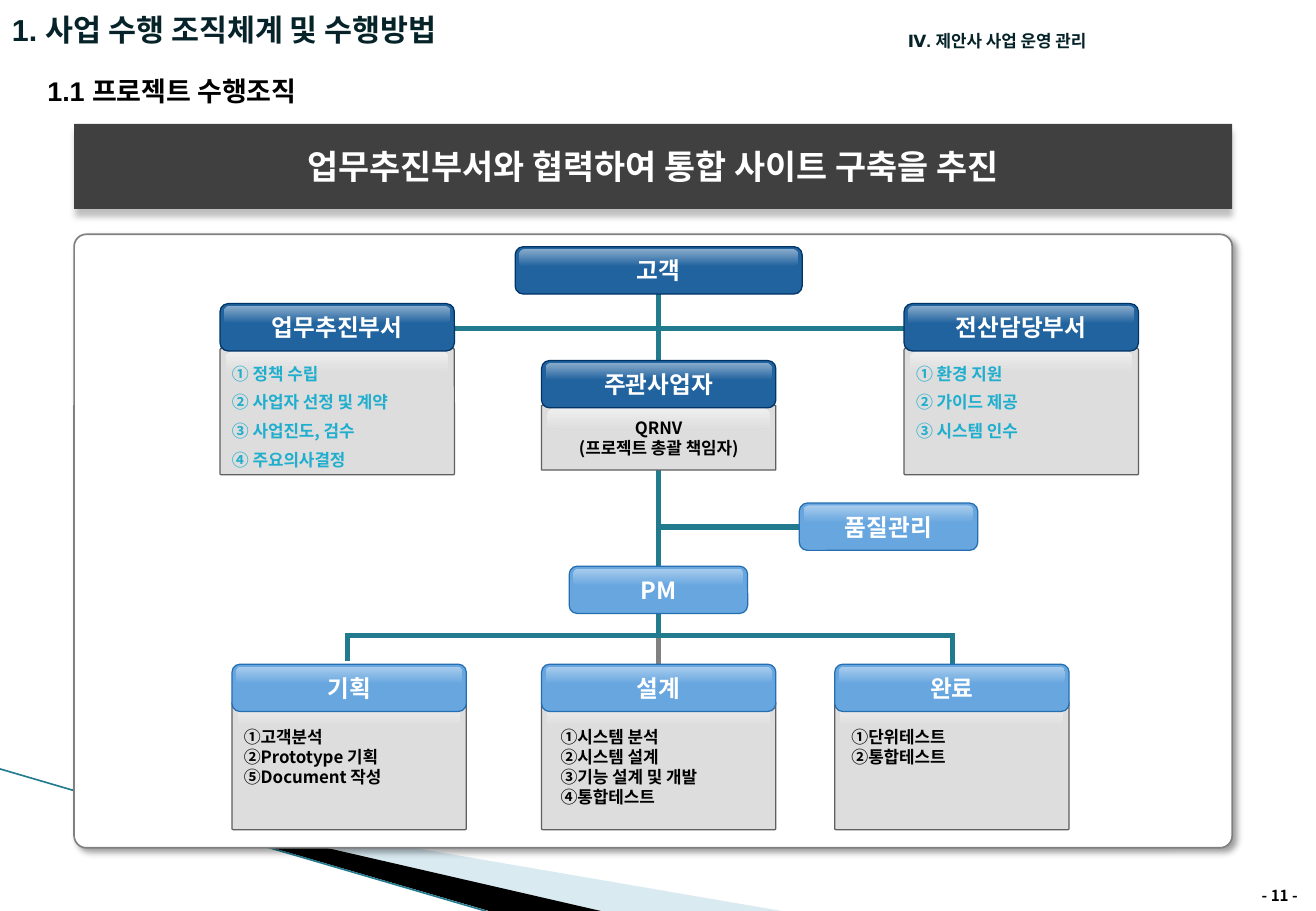
from lxml import etree
from pptx import Presentation
from pptx import util as u
from pptx.dml.color import RGBColor
from pptx.enum import shapes, text
from pptx.oxml.ns import qn

COLORS = {
    "ink": "062329", "black": "000000", "white": "FFFFFF", "banner": "404040",
    "banner_shadow": "BFBFBF", "frame": "808080", "teal": "227A8F", "cyan": "1FAECD",
    "wave": "A0CBDC", "client": "21639F", "client_edge": "003366", "client_gloss": "88ABCB",
    "team": "67A6DF", "team_edge": "256EB1", "team_gloss": "A8CCED",
    "body": "DDDDDD", "body_edge": "5F5F5F", "body_gloss": "EEEEEE",
}
KOREAN = "Noto Sans CJK KR"
HEADER_HEIGHT = 0.99
LEFT, CENTER, RIGHT = text.PP_ALIGN.LEFT, text.PP_ALIGN.CENTER, text.PP_ALIGN.RIGHT
ROUNDED = shapes.MSO_SHAPE.ROUNDED_RECTANGLE


def rgb(name):
    """Return the named colour."""
    return RGBColor.from_string(COLORS[name])


def cm_box(box):
    """Turn left, top, width and height in centimetres into lengths."""
    return [u.Cm(value) for value in box]


def write(frame, lines, size, color, align=LEFT, font=KOREAN, spacing=None,
          anchor=text.MSO_ANCHOR.MIDDLE):
    """Fill a text frame with bold lines of one style."""
    frame.word_wrap = True
    frame.auto_size = text.MSO_AUTO_SIZE.NONE
    frame.vertical_anchor = anchor
    frame.margin_left = frame.margin_right = u.Cm(0.25)
    frame.margin_top = frame.margin_bottom = u.Cm(0.13)
    frame.text = "\n".join(lines)
    for paragraph in frame.paragraphs:
        paragraph.alignment = align
        paragraph.line_spacing = u.Pt(spacing) if spacing else 1.0
        paragraph.font.name = font
        paragraph.font.size = u.Pt(size)
        paragraph.font.bold = True
        paragraph.font.color.rgb = rgb(color)
        defaults = paragraph._p.pPr.find(qn("a:defRPr"))
        etree.SubElement(defaults, qn("a:ea"), typeface=KOREAN)


def add_label(slide, box, lines, size, color, **style):
    """Add a text box."""
    label = slide.shapes.add_textbox(*cm_box(box))
    write(label.text_frame, lines, size, color, **style)


def add_plate(slide, box, fill, edge=None, kind=ROUNDED, radius=None, gloss=None, weight=0.75):
    """Add a flat or glossy plate."""
    plate = slide.shapes.add_shape(kind, *cm_box(box))
    plate.shadow.inherit = False
    if radius is not None:
        plate.adjustments[0] = radius
    if gloss:
        plate.fill.gradient()
        plate.fill.gradient_angle = 270
        for stop, name in zip(plate.fill.gradient_stops, (gloss, fill)):
            stop.color.rgb = rgb(name)
    else:
        plate.fill.solid()
        plate.fill.fore_color.rgb = rgb(fill)
    if edge:
        plate.line.color.rgb = rgb(edge)
        plate.line.width = u.Pt(weight)
    else:
        plate.line.fill.background()
    return plate


def cast_shadow(plate, color, opacity, distance, angle):
    """Give a plate an outer shadow."""
    effects = plate._element.spPr.find(qn("a:effectLst"))
    shadow = etree.SubElement(effects, qn("a:outerShdw"), blurRad=str(u.Pt(4)),
                              dist=str(u.Pt(distance)), dir=str(angle * 60000),
                              algn="tl", rotWithShape="0")
    tone = etree.SubElement(shadow, qn("a:srgbClr"), val=COLORS[color])
    etree.SubElement(tone, qn("a:alpha"), val=str(opacity * 1000))


def add_link(slide, ends, color="teal", weight=3):
    """Draw a straight line with square ends."""
    link = slide.shapes.add_connector(shapes.MSO_CONNECTOR.STRAIGHT, *cm_box(ends))
    link.line.color.rgb = rgb(color)
    link.line.width = u.Pt(weight)
    link.line._get_or_add_ln().set("cap", "sq")
    etree.SubElement(link._element.spPr, qn("a:effectLst"))


def add_waves(slide, left, top, bottom):
    """Draw the sweeping bands in the lower left corner."""
    bands = (("wave", 40, 14.86, 11.05), ("black", 100, 11.08, 8.74))
    for color, opacity, far, near in bands:
        builder = slide.shapes.build_freeform(u.Cm(left), u.Cm(top))
        builder.add_line_segments([(u.Cm(left + far), u.Cm(bottom)),
                                   (u.Cm(left + near), u.Cm(bottom))])
        band = builder.convert_to_shape()
        band.shadow.inherit = False
        band.fill.solid()
        band.fill.fore_color.rgb = rgb(color)
        band.line.fill.background()
        tone = band._element.spPr.find(qn("a:solidFill"))[0]
        etree.SubElement(tone, qn("a:alpha"), val=str(opacity * 1000))
    add_link(slide, (0, 16.08, 10.15, bottom), weight=0.95)


def add_headings(slide, width, height):
    """Place the title, chapter, section heading and page number."""
    title = slide.shapes.title
    title.left, title.top, title.width, title.height = cm_box((0, 0.1, 19.91, 1.02))
    write(title.text_frame, ["1. 사업 수행 조직체계 및 수행방법"], 18, "ink", font="Arial")
    add_label(slide, (13.77, 0.51, 9.19, 0.7), ["Ⅳ. 제안사 사업 운영 관리"], 10, "ink",
              align=RIGHT, font="Arial")
    add_label(slide, (0.74, 1.43, 17.8, 0.94), ["1.1 프로젝트 수행조직"], 16, "black", font="Arial")
    add_label(slide, (width - 2.13, height - 0.64, 2, 0.64), ["- 11 -"], 9, "black", align=RIGHT)


def add_banner(slide, box):
    """Place the key message."""
    banner = add_plate(slide, box, "banner", kind=shapes.MSO_SHAPE.RECTANGLE)
    cast_shadow(banner, "banner_shadow", 100, 4, 90)
    write(banner.text_frame, ["업무추진부서와 협력하여 통합 사이트 구축을 추진"], 20, "white",
          align=CENTER, font="DejaVu Sans Mono")


def add_unit(slide, box, name, tone, duties=(), inset=(0, 0), overlap=0.05, **style):
    """Place a unit's header and, if it has duties, the body beneath it."""
    left, top, width, height = box
    if duties:
        body_top = top + HEADER_HEIGHT - overlap
        add_plate(slide, (left, body_top, width, top + height - body_top),
                  "body", "body_edge", radius=0.01)
        add_plate(slide, (left + 0.12, body_top + 0.05, width - 0.24, 0.48),
                  "body", radius=0.31, gloss="body_gloss")
        shift, drop = inset
        add_label(slide, (left + shift, body_top + drop, width, top + height - body_top - drop),
                  duties, 10, anchor=text.MSO_ANCHOR.TOP, **style)
    header = (left, top, width, HEADER_HEIGHT)
    add_plate(slide, header, tone, tone + "_edge", radius=0.17)
    add_plate(slide, (left + 0.09, top + 0.05, width - 0.18, 0.36),
              tone, radius=0.31, gloss=tone + "_gloss")
    add_label(slide, header, [name], 14, "white", align=CENTER)


def add_organization(slide, box):
    """Place the framed chart of units and their links."""
    left, top, width, height = box
    frame = add_plate(slide, box, "white", "frame", radius=0.02, weight=1)
    cast_shadow(frame, "black", 40, 3, 45)

    trunk, bus, staff = left + 12.22, top + 8.39, top + 6.12
    planning, closing = left + 5.71, left + 18.36
    departments = top + 1.96
    add_link(slide, (trunk, bus, trunk, top + 9), "frame")
    for ends in (
        (trunk, top + 1.2, trunk, bus),
        (planning, bus, closing, bus),
        (planning, bus, planning, top + 8.87),
        (closing, bus, closing, top + 9.1),
        (left + 7.95, departments, left + 17.4, departments),
        (trunk, staff, left + 15.2, staff),
    ):
        add_link(slide, ends)

    add_unit(slide, (trunk - 3, top + 0.26, 6, HEADER_HEIGHT), "고객", "client")
    add_unit(slide, (trunk - 2.45, top + 2.64, 4.9, 2.29), "주관사업자", "client",
             ["QRNV", "(프로젝트 총괄 책임자)"], (0, 0.13), color="black", align=CENTER, spacing=12)
    for offset, name, duties in (
        (3.05, "업무추진부서", ["① 정책 수립", "② 사업자 선정 및 계약", "③ 사업진도, 검수", "④ 주요의사결정"]),
        (17.35, "전산담당부서", ["① 환경 지원", "② 가이드 제공", "③ 시스템 인수"]),
    ):
        add_unit(slide, (left + offset, top + 1.45, 4.9, 3.58), name, "client",
                 duties, color="cyan", spacing=17)
    add_unit(slide, (trunk - 1.87, top + 6.94, 3.73, HEADER_HEIGHT), "PM", "team")
    add_unit(slide, (left + 15.16, staff - 0.5, 3.73, HEADER_HEIGHT), "품질관리", "team")
    for offset, shift, name, duties in (
        (3.3, 0, "기획", ["①고객분석", "②Prototype 기획", "⑤Document 작성"]),
        (9.77, 0.15, "설계", ["①시스템 분석", "②시스템 설계", "③기능 설계 및 개발", "④통합테스트"]),
        (15.9, 0.1, "완료", ["①단위테스트", "②통합테스트"]),
    ):
        add_unit(slide, (left + offset, top + 8.99, 4.9, 3.46), name, "team",
                 duties, (shift, 0.38), overlap=0.2, color="black", spacing=12)


def main():
    """Build the slide and save it."""
    deck = Presentation()
    width, height = 27.51, 19.05
    deck.slide_width, deck.slide_height = u.Cm(width), u.Cm(height)
    slide = deck.slides.add_slide(deck.slide_layouts[5])
    add_waves(slide, 1.48, 16.5, height)
    add_headings(slide, width, height)
    add_organization(slide, (1.55, 4.9, 24.21, 12.83))
    add_banner(slide, (1.55, 2.59, 24.21, 1.78))
    deck.save("out.pptx")


if __name__ == "__main__":
    main()
